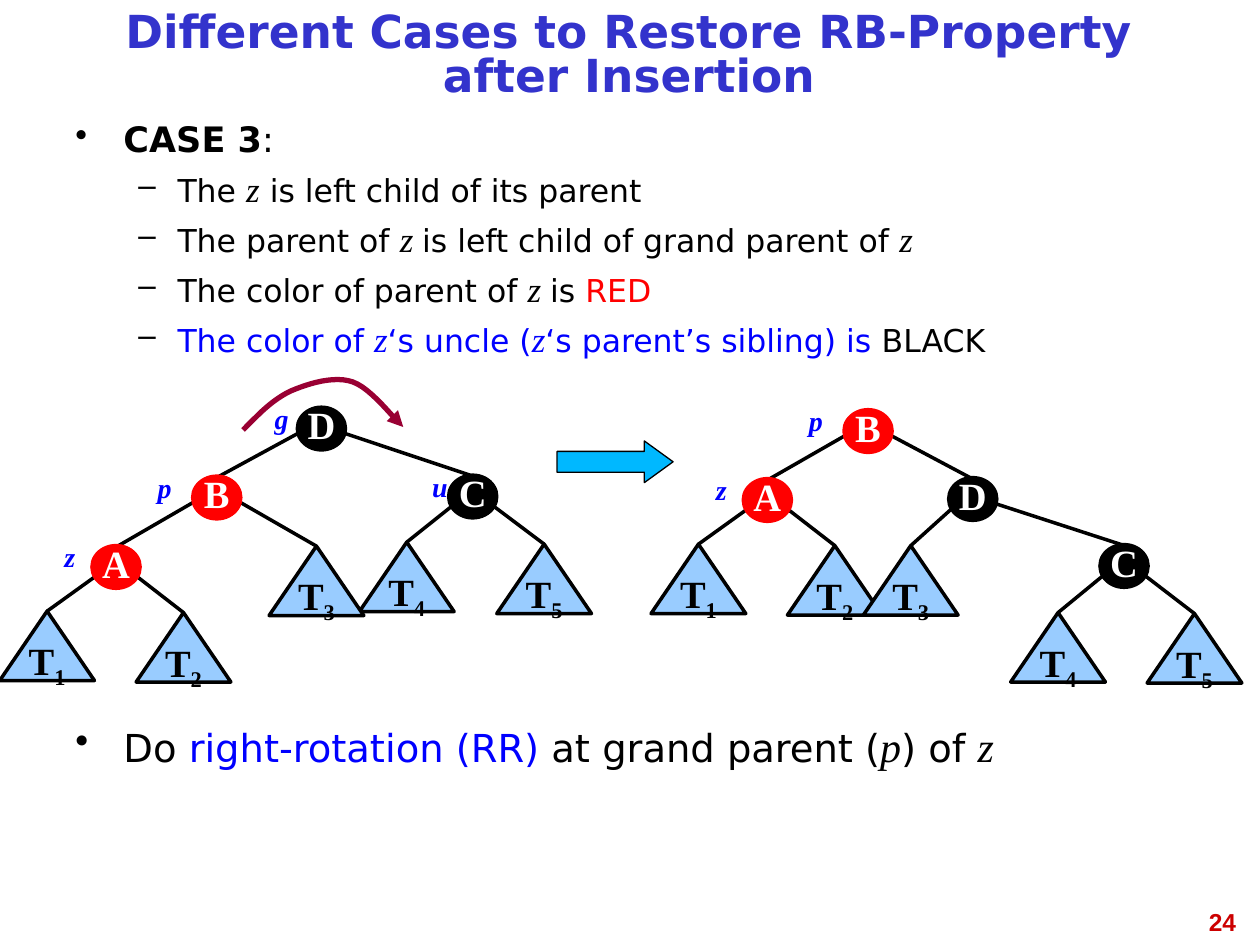
from collections import namedtuple
from dataclasses import dataclass

from pptx import Presentation
from pptx.dml.color import RGBColor
from pptx.enum import shapes, text
from pptx.oxml import ns, xmlchemy as xc
from pptx.util import Cm, Pt

Style = namedtuple("Style", "font size bold italic", defaults=(False, False))
Box = namedtuple("Box", "x y w h")


@dataclass(frozen=True)
class Theme:
    black: str = "000000"
    white: str = "FFFFFF"
    red: str = "FF0000"
    blue: str = "0000FF"
    heading: str = "3333CC"
    number: str = "CC0000"
    leaf: str = "99CCFF"
    step: str = "00B8FF"
    turn: str = "990033"
    title: Style = Style("DejaVu Sans", 26, True)
    case: Style = Style("DejaVu Sans", 20, True)
    colon: Style = Style("DejaVu Sans", 20)
    item: Style = Style("DejaVu Sans", 18)
    var: Style = Style("Times New Roman", 20, False, True)
    action: Style = Style("DejaVu Sans", 22)
    action_var: Style = Style("Times New Roman", 24, False, True)
    node: Style = Style("Times New Roman", 22, True)
    label: Style = Style("Times New Roman", 16, True, True)
    page: Style = Style("Arial", 14, True)


T = Theme()
NODE_W, NODE_H = 0.97, 0.86
LEAF_W, LEAF_H = 1.91, 1.4
LABEL_W, LABEL_H = 1.91, 0.94


def rgb(color):
    return RGBColor.from_string(color)


def add_run(p, words, style, color=T.black):
    r = p.add_run()
    r.text = words
    f = r.font
    f.name, f.size = style.font, Pt(style.size)
    f.bold, f.italic = style.bold, style.italic
    f.color.rgb = rgb(color)
    return r


def set_bullet(p, char, margin, hanging):
    pPr = p._p.get_or_add_pPr()
    pPr.set("marL", str(Cm(margin)))
    pPr.set("indent", str(-Cm(hanging)))
    clr = xc.OxmlElement("a:buClr")
    etree_color = xc.OxmlElement("a:srgbClr")
    etree_color.set("val", T.black)
    clr.append(etree_color)
    bullet = xc.OxmlElement("a:buChar")
    bullet.set("char", char)
    pPr.extend([clr, bullet])


def add_textbox(parent, box):
    sp = parent.add_textbox(*map(Cm, box))
    sp.text_frame.word_wrap = True
    return sp.text_frame


def add_shape(parent, kind, box, fill, line, width=2):
    sp = parent.add_shape(kind, *map(Cm, box))
    sp.shadow.inherit = False
    sp.fill.solid()
    sp.fill.fore_color.rgb = rgb(fill)
    sp.line.color.rgb = rgb(line)
    sp.line.width = Pt(width)
    return sp


def center_text(sp):
    tf = sp.text_frame
    tf.word_wrap = False
    tf.vertical_anchor = text.MSO_ANCHOR.MIDDLE
    p = tf.paragraphs[0]
    p.alignment = text.PP_ALIGN.CENTER
    p.line_spacing = 0.81
    return p


def add_title(s, box):
    sp = s.shapes.title
    sp.left, sp.top, sp.width, sp.height = map(Cm, box)
    sp.text_frame.auto_size = text.MSO_AUTO_SIZE.NONE
    p = center_text(sp)
    sp.text_frame.word_wrap = True
    add_run(p, "Different Cases to Restore RB-Property after Insertion", T.title, T.heading)


def add_bullets(s, box, paragraphs, spacing):
    tf = add_textbox(s.shapes, box)
    for i, (level, runs) in enumerate(paragraphs):
        p = tf.add_paragraph() if i else tf.paragraphs[0]
        p.level = level
        p.alignment = text.PP_ALIGN.JUSTIFY
        p.line_spacing = spacing
        p.space_before = Pt(7 if i else 0)
        set_bullet(p, *(("–", 2.06, 0.79) if level else ("•", 0.97, 0.97)))
        for run in runs:
            add_run(p, *run)


def add_edge(group, start, end, is_leaf):
    (x1, y1), (x2, y2) = start, end
    side = 1 if x2 > x1 else -1
    steep = is_leaf and abs(x2 - x1) < 1.5
    dx, dy = (0.43, 0.2) if steep else (0.48, 0.1)
    if not is_leaf:
        x2, y2 = x2 - side * 0.05, y2 - NODE_H / 2
    line = group.add_connector(shapes.MSO_CONNECTOR.STRAIGHT,
                               Cm(x1 + side * dx), Cm(y1 + dy), Cm(x2), Cm(y2))
    line.line.color.rgb = rgb(T.black)
    line.line.width = Pt(2)
    line._element.spPr.append(xc.OxmlElement("a:effectLst"))


def add_tree(s, box, nodes, leaves, edges, labels):
    group = s.shapes.add_group_shape().shapes
    at = {k: (box.x + v[0], box.y + v[1]) for k, v in {**nodes, **leaves}.items()}
    for parent, child in edges:
        add_edge(group, at[parent], at[child], child in leaves)
    for name, (letter, dx) in labels.items():
        x, y = at[name]
        tf = add_textbox(group, Box(x + dx - LABEL_W / 2, y - 0.67, LABEL_W, LABEL_H))
        p = tf.paragraphs[0]
        p.alignment = text.PP_ALIGN.CENTER
        add_run(p, letter, T.label, T.blue)
    for name in nodes:
        x, y = at[name]
        color = T.red if name in "AB" else T.black
        sp = add_shape(group, shapes.MSO_SHAPE.OVAL,
                       Box(x - NODE_W / 2, y - NODE_H / 2, NODE_W, NODE_H), color, color)
        add_run(center_text(sp), name, T.node, T.white)
    for name in leaves:
        x, y = at[name]
        sp = add_shape(group, shapes.MSO_SHAPE.ISOSCELES_TRIANGLE,
                       Box(x - LEAF_W / 2, y, LEAF_W, LEAF_H), T.leaf, T.black)
        p = center_text(sp)
        add_run(p, name[0], T.node)
        r = add_run(p, name[1], T.node)
        r._r.get_or_add_rPr().set("baseline", "-25000")


def add_rotation_arrow(s, box):
    curves = [((0, 0.97), (0.3, 0.67), (0.58, 0.36), (0.97, 0.18)),
              ((0.97, 0.18), (1.32, 0.03), (1.85, -0.13), (2.21, 0)),
              ((2.21, 0), (2.59, 0.13), (3.05, 0.76), (3.23, 0.91))]
    points = []
    for curve in curves:
        for step in range(13):
            t = step / 12
            weights = ((1 - t) ** 3, 3 * t * (1 - t) ** 2, 3 * t * t * (1 - t), t ** 3)
            x, y = (sum(w * c[k] for w, c in zip(weights, curve)) for k in (0, 1))
            points.append((Cm(box.x + x), Cm(box.y + y)))
    builder = s.shapes.build_freeform(*points[0])
    builder.add_line_segments(points[1:], close=False)
    sp = builder.convert_to_shape()
    sp.shadow.inherit = False
    sp.fill.background()
    sp.line.color.rgb = rgb(T.turn)
    sp.line.width = Pt(3)
    tail = xc.OxmlElement("a:tailEnd")
    tail.set("type", "triangle")
    sp._element.spPr.find(ns.qn("a:ln")).append(tail)


def add_step_arrow(s, box):
    sp = add_shape(s.shapes, shapes.MSO_SHAPE.RIGHT_ARROW, box, T.step, T.black, 0.75)
    sp.adjustments[1] = 0.69


def add_page_number(s, box):
    p = add_textbox(s.shapes, box).paragraphs[0]
    p.alignment = text.PP_ALIGN.RIGHT
    add_run(p, "24", T.page, T.number)


def main():
    prs = Presentation()
    prs.slide_width, prs.slide_height = Cm(25.4), Cm(19.05)
    s = prs.slides.add_slide(prs.slide_layouts[5])
    add_page_number(s, Box(19.25, 18.16, 5.92, 1.32))
    add_title(s, Box(1.27, 0.2, 22.83, 1.9))
    z, z_blue = ("z", T.var), ("z", T.var, T.blue)
    add_bullets(s, Box(1.27, 2.34, 22.83, 5.08), [
        (0, [("CASE 3", T.case), (":", T.colon)]),
        (1, [("The ", T.item), z, (" is left child of its parent", T.item)]),
        (1, [("The parent of ", T.item), ("z ", T.var),
             ("is left child of grand parent of ", T.item), z]),
        (1, [("The color of parent of ", T.item), ("z ", T.var), ("is ", T.item),
             ("RED", T.item, T.red)]),
        (1, [("The color of ", T.item, T.blue), z_blue, ("‘s uncle (", T.item, T.blue), z_blue,
             ("‘s parent’s sibling) is ", T.item, T.blue), ("BLACK", T.item)]),
    ], 0.9)
    add_bullets(s, Box(1.27, 14.4, 22.83, 4.01), [
        (0, [("Do ", T.action), ("right-rotation (RR)", T.action, T.blue),
             (" at grand parent (", T.action), ("p", T.action_var), (") of ", T.action),
             ("z", T.action_var)]),
    ], 1.0)
    add_rotation_arrow(s, Box(4.9, 7.7, 3.23, 0.97))
    add_tree(s, Box(0, 8.05, 11.92, 5.7),
             {"D": (6.48, 0.59), "B": (4.37, 1.98), "A": (2.34, 3.38), "C": (9.53, 1.96)},
             {"T1": (0.95, 4.27), "T2": (3.7, 4.3), "T4": (8.2, 2.88), "T5": (10.97, 2.92),
              "T3": (6.38, 2.96)},
             [("D", "C"), ("D", "B"), ("B", "T3"), ("B", "A"), ("A", "T1"), ("A", "T2"),
              ("C", "T4"), ("C", "T5")],
             {"B": ("p", -1.05), "C": ("u", -0.66), "D": ("g", -0.8), "A": ("z", -0.93)})
    add_tree(s, Box(13.13, 8.05, 11.92, 5.7),
             {"D": (6.48, 2.01), "B": (4.37, 0.64), "A": (2.34, 2.03), "C": (9.53, 3.36)},
             {"T1": (0.95, 2.92), "T2": (3.7, 2.95), "T4": (8.2, 4.3), "T5": (10.95, 4.32),
              "T3": (5.23, 2.95)},
             [("D", "C"), ("B", "D"), ("B", "A"), ("A", "T1"), ("A", "T2"), ("C", "T4"),
              ("C", "T5"), ("D", "T3")],
             {"B": ("p", -1.05), "A": ("z", -0.93)})
    add_step_arrow(s, Box(11.23, 8.89, 2.34, 0.84))
    prs.save("out.pptx")


if __name__ == "__main__":
    main()
